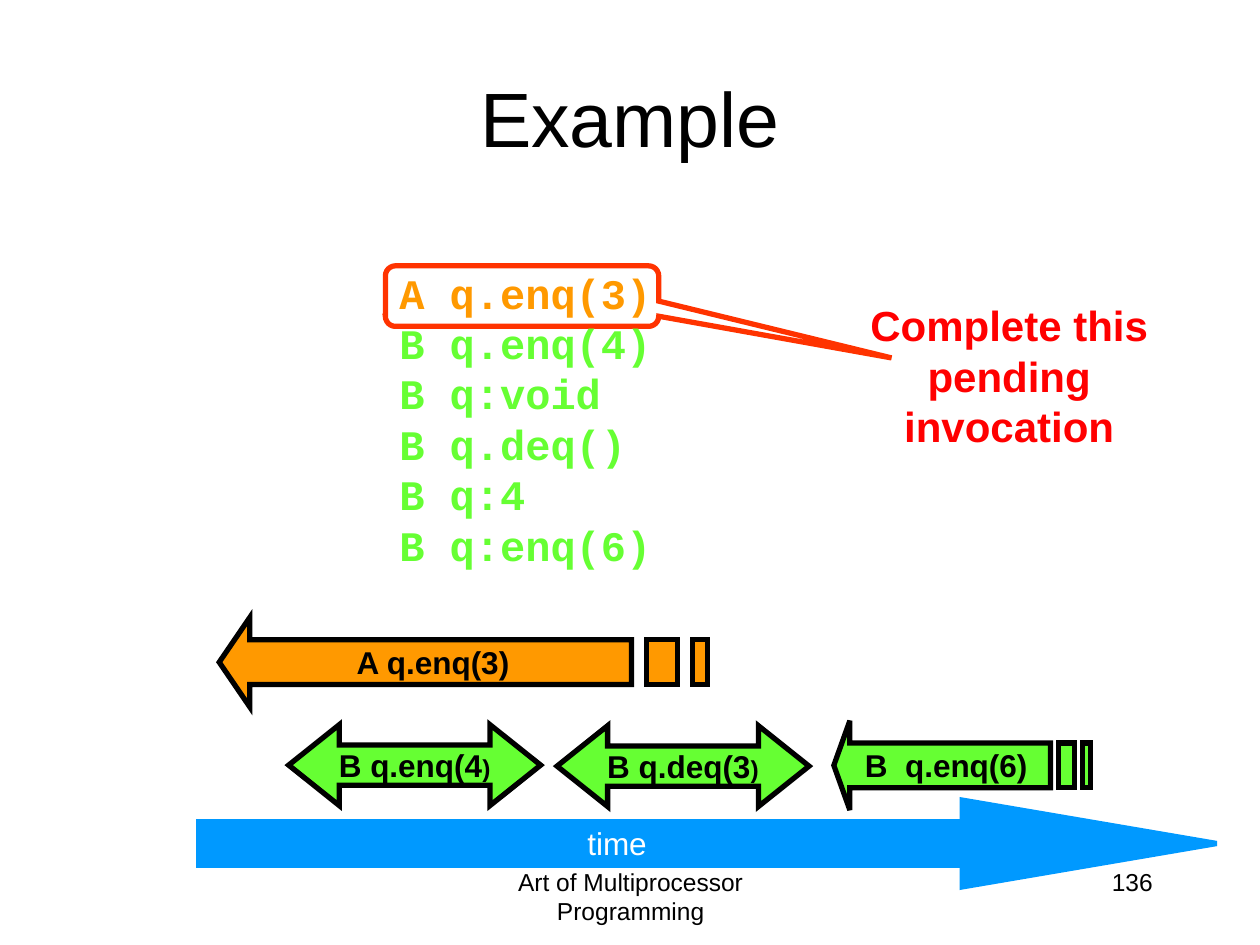
from lxml import etree
from pptx import Presentation
from pptx.dml.color import RGBColor
from pptx.enum import shapes, text
from pptx.oxml.ns import qn
from pptx.util import Cm, Pt

BLACK = RGBColor(0x00, 0x00, 0x00)
WHITE = RGBColor(0xFF, 0xFF, 0xFF)
RED = RGBColor(0xFF, 0x00, 0x00)
CALLOUT_RED = RGBColor(0xFF, 0x33, 0x00)
ORANGE = RGBColor(0xFF, 0x99, 0x00)
GREEN = RGBColor(0x66, 0xFF, 0x33)
BLUE = RGBColor(0x00, 0x99, 0xFF)

LEFT, CENTER, RIGHT = text.PP_ALIGN.LEFT, text.PP_ALIGN.CENTER, text.PP_ALIGN.RIGHT
MIDDLE = text.MSO_ANCHOR.MIDDLE


def write(shape, lines, align=CENTER, font="Arial", bold=False, wrap=True):
    """Fill a shape with lines, each a list of (words, size, colour) runs."""
    frame = shape.text_frame
    frame.word_wrap = wrap
    for index, runs in enumerate(lines):
        para = frame.add_paragraph() if index else frame.paragraphs[0]
        para.alignment = align
        for words, size, color in runs:
            span = para.add_run()
            span.text = words
            span.font.name = font
            span.font.size = Pt(size)
            span.font.bold = bold
            span.font.color.rgb = color


def paint(shape, fill, line):
    """Set fill (None for hollow) and a 3 pt line with sharp corners."""
    shape.shadow.inherit = False
    if fill is None:
        shape.fill.background()
    else:
        shape.fill.solid()
        shape.fill.fore_color.rgb = fill
    shape.line.color.rgb = line
    shape.line.width = Pt(3)
    etree.SubElement(shape.line._get_or_add_ln(), qn("a:miter"), lim="800000")


deck = Presentation()
deck.slide_width, deck.slide_height = Cm(25.4), Cm(19.05)
page = deck.slides.add_slide(deck.slide_layouts[6])

# Footer, page number and title
for words, size, align, place in (
    ("Art of Multiprocessor Programming", 14, CENTER, (8.69, 17.35, 8.05, 1.27)),
    ("136", 14, RIGHT, (18.21, 17.35, 5.28, 1.27)),
    ("Example", 44, CENTER, (1.27, 0.76, 22.86, 3.18)),
):
    box = page.shapes.add_textbox(*map(Cm, place))
    write(box, [[(words, size, BLACK)]], align)
box.text_frame.vertical_anchor = MIDDLE

# Callout around the pending call
callout = page.shapes.add_shape(
    shapes.MSO_SHAPE.ROUNDED_RECTANGULAR_CALLOUT, Cm(7.77), Cm(5.36), Cm(5.51), Cm(1.22))
for index, value in enumerate((1.352, 1.022, 0.167)):
    callout.adjustments[index] = value
paint(callout, None, CALLOUT_RED)
remark = page.shapes.add_textbox(Cm(16.33), Cm(5.92), Cm(8.03), Cm(3.33))
write(remark, [[("Complete this pending", 24, RED)], [("invocation", 24, RED)]], bold=True)

# Time axis
axis = page.shapes.add_shape(
    shapes.MSO_SHAPE.RIGHT_ARROW, Cm(4.01), Cm(16.13), Cm(20.52), Cm(1.75))
axis.adjustments[1] = 2.932
paint(axis, BLUE, BLUE)
axis_label = page.shapes.add_textbox(Cm(11.56), Cm(16.48), Cm(1.73), Cm(1.02))
write(axis_label, [[("time", 18, WHITE)]], RIGHT, wrap=False)

# Completed calls
for call, left, top in (("B q.enq(4", 5.82, 14.61), ("B q.deq(3", 11.23, 14.63)):
    arrow = page.shapes.add_shape(
        shapes.MSO_SHAPE.LEFT_RIGHT_ARROW, Cm(left), Cm(top), Cm(5.08), Cm(1.63))
    arrow.adjustments[1] = 0.626
    paint(arrow, GREEN, BLACK)
    arrow.text_frame.vertical_anchor = MIDDLE
    write(arrow, [[(call, 18, BLACK), (")", 14, BLACK)]], bold=True, wrap=False)

# History of calls
history = page.shapes.add_textbox(Cm(7.8), Cm(5.26), Cm(7.75), Cm(6.4))
calls = ("B q.enq(4)", "B q:void", "B q.deq()", "B q:4", "B q:enq(6)")
write(history, [[("A q.enq(3)", 24, ORANGE)]] + [[(call, 24, GREEN)] for call in calls],
      LEFT, "Courier New", bold=True)

# Pending calls: arrows fading into stripes, on a grid of 16 columns by 4 rows
ARROW = [(1, 0), (1, 1), (13.5, 1), (13.5, 3), (1, 3), (1, 4), (0, 2)]
STRIPES = [[(a, 1), (b, 1), (b, 3), (a, 3)] for a, b in ((14, 15), (15.5, 16))]
for call, left, top, width, fill in (
    ("B  q.enq(6)", 16.81, 14.53, 5.18, GREEN),
    ("A q.enq(3)", 4.42, 12.45, 9.85, ORANGE),
):
    column, row = width / 16, 1.8 / 4
    outlines = [[(Cm(left + x * column), Cm(top + y * row)) for x, y in outline]
                for outline in [ARROW] + STRIPES]
    builder = page.shapes.build_freeform(*outlines[0][0])
    builder.add_line_segments(outlines[0][1:])
    for stripe in outlines[1:]:
        builder.move_to(*stripe[0])
        builder.add_line_segments(stripe[1:])
    pending = builder.convert_to_shape()
    paint(pending, fill, BLACK)
    frame = pending.text_frame
    frame.vertical_anchor = MIDDLE
    frame.margin_left, frame.margin_right = Cm(column / 2), Cm(column * 2.5)
    write(pending, [[(call, 18, BLACK)]], bold=True, wrap=False)

deck.save("out.pptx")
